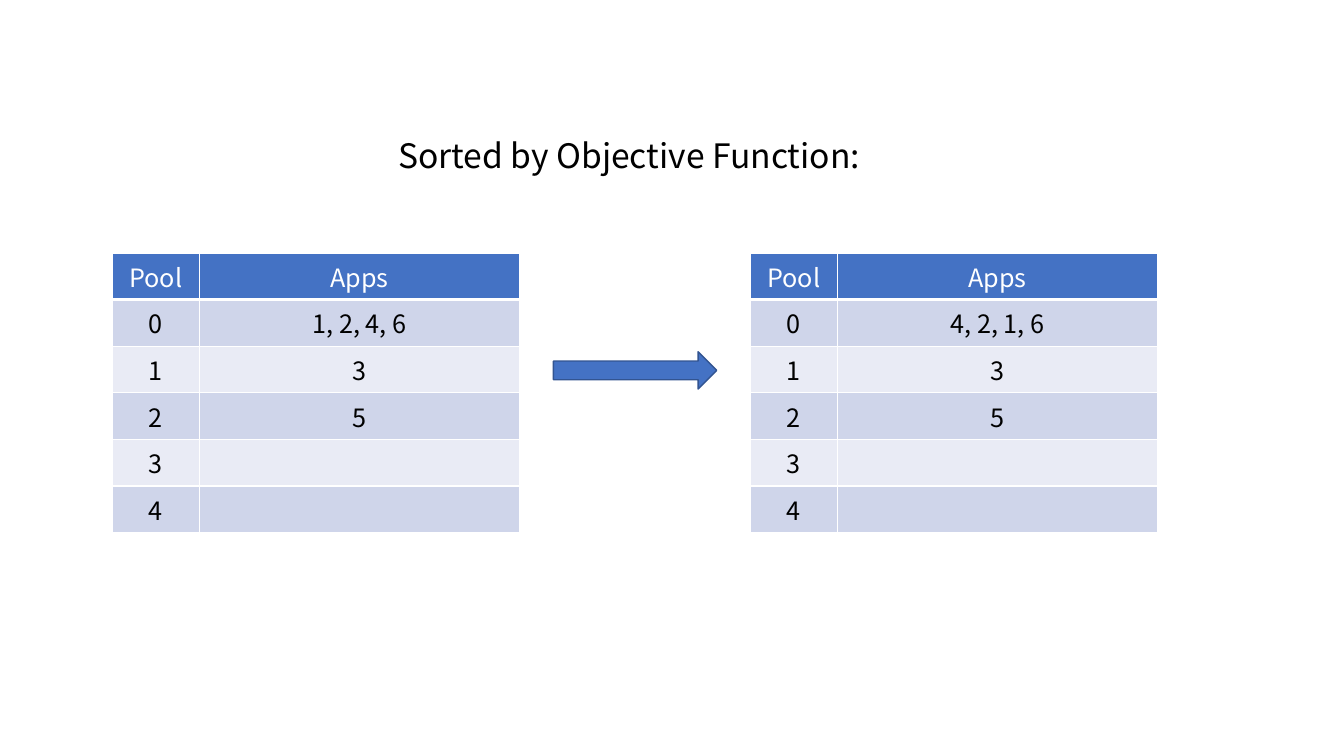
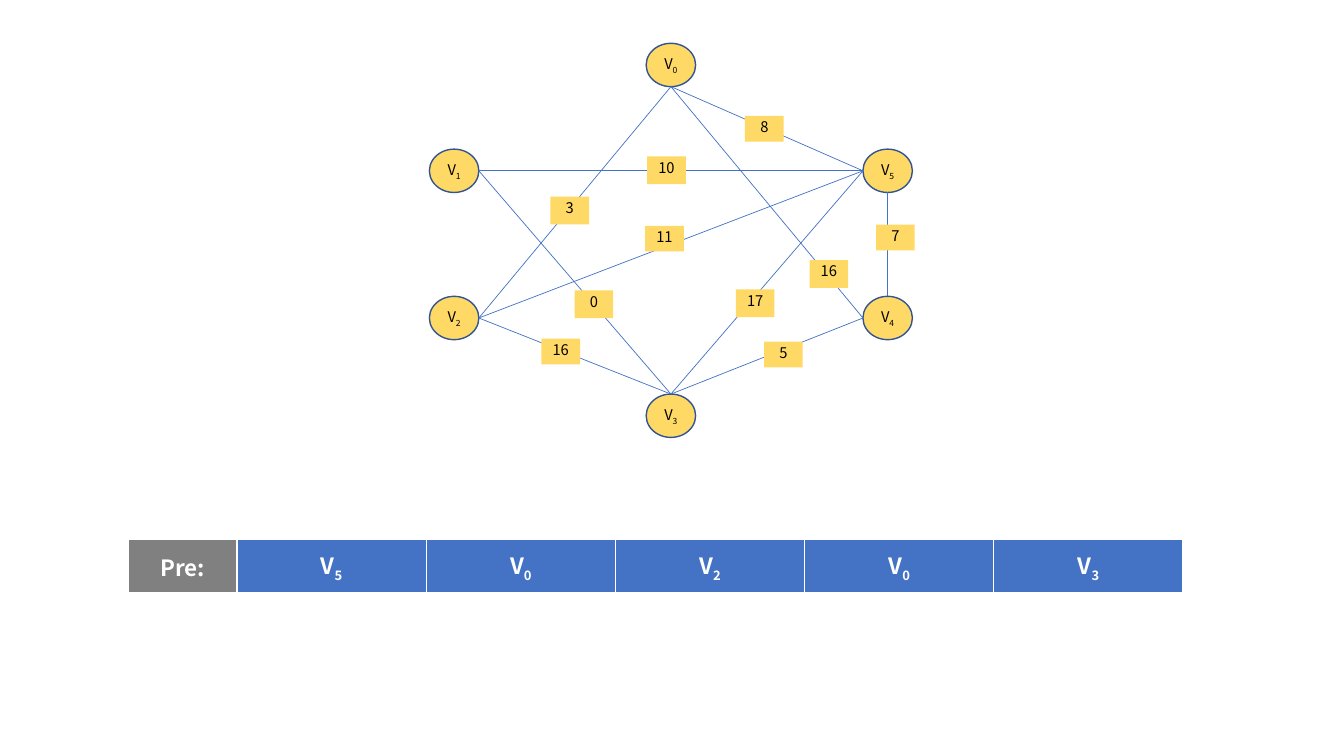
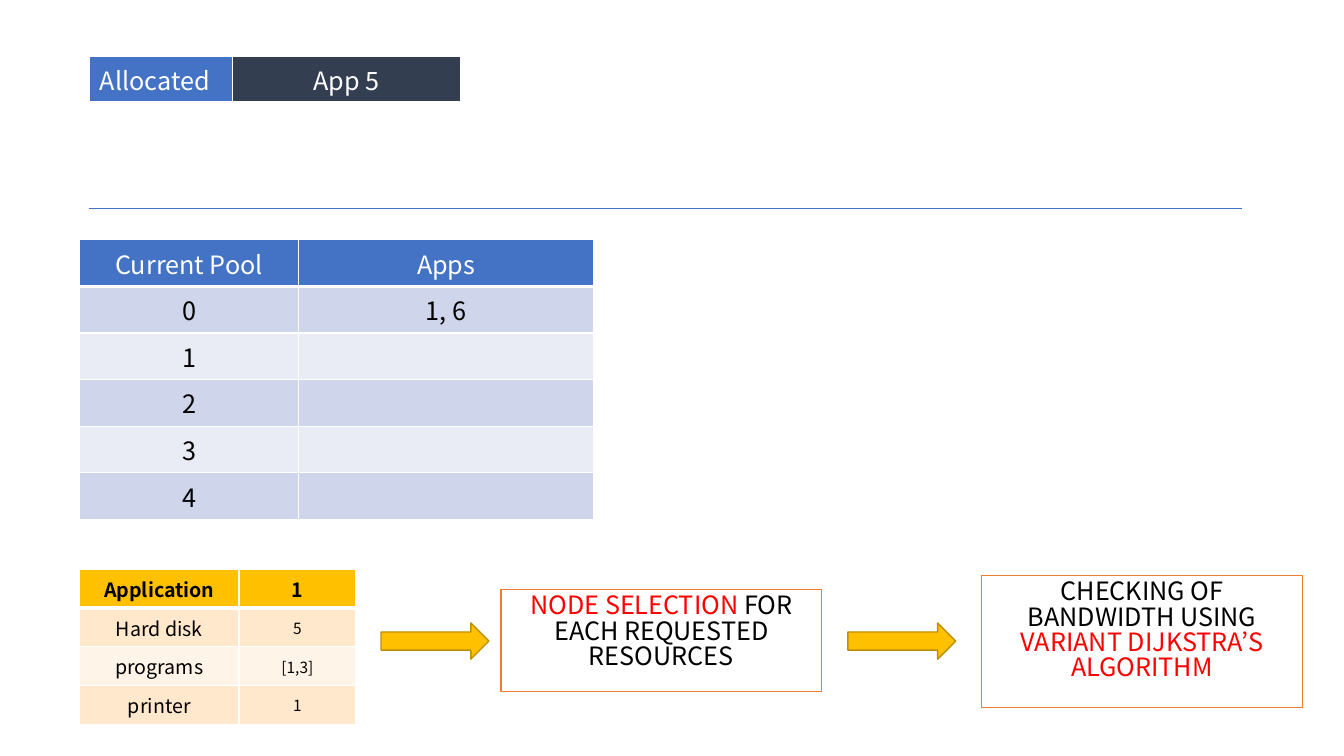
from lxml import etree
from pptx import Presentation
from pptx.dml.color import RGBColor
from pptx.enum.shapes import MSO_CONNECTOR, MSO_SHAPE
from pptx.enum.text import MSO_ANCHOR, PP_ALIGN
from pptx.oxml.ns import qn
from pptx.util import Inches, Pt

LINE = MSO_CONNECTOR.STRAIGHT
ARROW = MSO_SHAPE.RIGHT_ARROW
OVAL = MSO_SHAPE.OVAL
MIDDLE = MSO_ANCHOR.MIDDLE
LEFT, CENTER = PP_ALIGN.LEFT, PP_ALIGN.CENTER

FONT = "Noto Sans CJK JP"
HEX = {
    "white": "FFFFFF", "black": "000000", "red": "FF0000", "gray": "808080",
    "blue": "4472C4", "navy": "325491", "slate": "333F50",
    "band": "CFD5EA", "pale": "E9EBF5",
    "gold": "FFC000", "bronze": "BD8E00", "yellow": "FFD966",
    "peach": "FFE8CC", "cream": "FFF4E7", "orange": "ED7D31",
}
RGB = {name: RGBColor.from_string(value) for name, value in HEX.items()}

prs = Presentation()
prs.slide_width, prs.slide_height = Inches(13.33), Inches(7.5)
X, Y = prs.slide_width / 100, prs.slide_height / 100
sorting, graph, allocation = [
    prs.slides.add_slide(prs.slide_layouts[6]) for _ in range(3)
]


def write(tf, text, size=18, color="black", bold=False, align=CENTER, spacing=None):
    tf.word_wrap = True
    p = tf.paragraphs[0]
    p.alignment = align
    p.line_spacing = spacing
    base, _, sub = text.partition("_")
    for part, offset in ((base, "0"), (sub, "-25000")):
        if part:
            r = p.add_run()
            r.text = part
            r.font.name = FONT
            r.font.size = Pt(size)
            r.font.bold = bold
            r.font.color.rgb = RGB[color]
            r._r.get_or_add_rPr().set("baseline", offset)


def put_table(s, x, y, cols, row, data, heads, bands=("band", "pale"),
              head_color="white", head_bold=False, sizes=(18, 18)):
    frame = s.shapes.add_table(len(data), len(cols), int(x * X), int(y * Y),
                               int(sum(cols) * X), int(row * len(data) * Y))
    tbl = frame.table
    tbl.first_row = tbl.horz_banding = False
    for j, width in enumerate(cols):
        tbl.columns[j].width = int(width * X)
    for i, values in enumerate(data):
        tbl.rows[i].height = int(row * Y)
        for j, text in enumerate(values):
            cell = tbl.cell(i, j)
            tcPr = cell._tc.get_or_add_tcPr()
            for side in "LRTB":
                thick = (i, side) in ((0, "B"), (1, "T"))
                ln = etree.SubElement(tcPr, qn(f"a:ln{side}"), w=str(Pt(3 if thick else 1)))
                fill = etree.SubElement(ln, qn("a:solidFill"))
                etree.SubElement(fill, qn("a:srgbClr"), val=HEX["white"])
            cell.fill.solid()
            cell.fill.fore_color.rgb = RGB[heads[j] if i == 0 else bands[(i - 1) % 2]]
            cell.vertical_anchor = MIDDLE
            if i == 0:
                write(cell.text_frame, text, size=sizes[0], color=head_color, bold=head_bold)
            else:
                write(cell.text_frame, text, size=sizes[min(j, 1)])
    return tbl


ROW = 5.97
pools = [
    (sorting, 55.8, 33.47, (6.53, 23.78), "Pool", ("4, 2, 1, 6", "3", "5", "", "")),
    (sorting, 8.33, 33.47, (6.53, 23.78), "Pool", ("1, 2, 4, 6", "3", "5", "", "")),
    (allocation, 5.93, 31.73, (16.28, 21.98), "Current Pool", ("1, 6", "", "", "", "")),
]
for s, x, y, cols, head, apps in pools:
    data = [(head, "Apps")] + [(str(n), app) for n, app in enumerate(apps)]
    put_table(s, x, y, cols, ROW, data, ("blue", "blue"))

put_table(graph, 9.53, 71.33, [8.1] + [14.08] * 5, 7.2,
          [("Pre:", "V_5", "V_0", "V_2", "V_0", "V_3")],
          ["gray"] + ["blue"] * 5, head_bold=True, sizes=(16, 16))

tbl = put_table(allocation, 6.68, 7.47, (10.65, 16.95), 5.47,
                [("Allocated", "App 5")], ("blue", "slate"))
tbl.cell(0, 0).text_frame.paragraphs[0].alignment = LEFT

put_table(allocation, 5.93, 75.33, (11.85, 8.7), 4.77,
          [("Application", "1"), ("Hard disk", "5"), ("programs", "[1,3]"), ("printer", "1")],
          ("gold", "gold"), bands=("peach", "cream"),
          head_color="black", head_bold=True, sizes=(14, 11))

arrows = [
    (sorting, 41.18, 46.53, 12.15, 4.93, "blue", "navy"),
    (allocation, 28.35, 82.4, 8.03, 4.8, "gold", "bronze"),
    (allocation, 63.08, 82.4, 8.03, 4.8, "gold", "bronze"),
]
NODE_W, NODE_H = 3.68, 5.73
node_cols = [31.95 + 16.13 * n for n in range(3)]
nodes = {
    "V_0": (node_cols[1], 5.73, 0.5, 1),
    "V_1": (node_cols[0], 19.73, 1, 0.5),
    "V_2": (node_cols[0], 39.2, 1, 0.5),
    "V_3": (node_cols[1], 52.13, 0.5, 0),
    "V_4": (node_cols[2], 39.2, 0, 0.5),
    "V_5": (node_cols[2], 19.73, 0, 0.5),
}
presets = [(ARROW, "", *arrow) for arrow in arrows]
presets += [(OVAL, name, graph, x, y, NODE_W, NODE_H, "yellow", "navy")
            for name, (x, y, _, _) in nodes.items()]
for kind, text, s, x, y, w, h, fill, edge in presets:
    sp = s.shapes.add_shape(kind, int(x * X), int(y * Y), int(w * X), int(h * Y))
    sp.shadow.inherit = False
    sp.fill.solid()
    sp.fill.fore_color.rgb = RGB[fill]
    sp.line.color.rgb = RGB[edge]
    sp.line.width = Pt(1)
    if text:
        tf = sp.text_frame
        tf.margin_left = tf.margin_right = tf.margin_top = tf.margin_bottom = 0
        tf.vertical_anchor = MIDDLE
        write(tf, text, size=10.5)

LOW, TALL = 3.4, 3.7
edges = [
    ("V_0", "V_2", "3", 40.95, 26, TALL),
    ("V_0", "V_4", "16", 60.23, 34.4, TALL),
    ("V_5", "V_2", "11", 48, 29.87, LOW),
    ("V_3", "V_2", "16", 40.28, 44.8, LOW),
    ("V_3", "V_4", "5", 56.85, 45.2, LOW),
    ("V_3", "V_5", "17", 54.75, 38.27, TALL),
    ("V_5", "V_4", "7", 65.18, 29.73, LOW),
    ("V_1", "V_5", "10", 48.15, 20.67, TALL),
    ("V_1", "V_3", "0", 42.75, 38.4, TALL),
    ("V_0", "V_5", "8", 55.43, 15.33, LOW),
]
lines = [(allocation, 6.6, 27.6, 92.4, 27.6)]
for start, end, *_ in edges:
    x1, y1, px1, py1 = nodes[start]
    x2, y2, px2, py2 = nodes[end]
    if x1 == x2:
        px1, py1, px2, py2 = 0.5, 1, 0.5, 0
    lines.append((graph, x1 + px1 * NODE_W, y1 + py1 * NODE_H,
                  x2 + px2 * NODE_W, y2 + py2 * NODE_H))
for s, x1, y1, x2, y2 in lines:
    c = s.shapes.add_connector(LINE, int(x1 * X), int(y1 * Y), int(x2 * X), int(y2 * Y))
    c.line.color.rgb = RGB["blue"]
    c.line.width = Pt(0.5)
    etree.SubElement(c._element.spPr, qn("a:effectLst"))

boxes = [
    (sorting, 24.68, 18, 44.25, 6.67, None, None, 24,
     [("Sorted by Objective Function:", "black")]),
    (allocation, 37.28, 78, 23.85, 13.47, "white", "orange", 18,
     [("NODE SELECTION ", "red"), ("FOR EACH REQUESTED RESOURCES", "black")]),
    (allocation, 73.05, 76.13, 23.85, 17.47, "white", "orange", 18,
     [("CHECKING OF BANDWIDTH USING ", "black"), ("VARIANT DIJKSTRA’S ALGORITHM", "red")]),
]
boxes += [(graph, x, y, 2.88, h, "yellow", None, 10.5, [(weight, "black")])
          for _, _, weight, x, y, h in edges]
for s, x, y, w, h, fill, edge, size, runs in boxes:
    sp = s.shapes.add_textbox(int(x * X), int(y * Y), int(w * X), int(h * Y))
    if fill:
        sp.fill.solid()
        sp.fill.fore_color.rgb = RGB[fill]
    if edge:
        sp.line.color.rgb = RGB[edge]
        sp.line.width = Pt(1)
    for text, color in runs:
        write(sp.text_frame, text, size=size, color=color, spacing=0.84)

prs.save("out.pptx")
